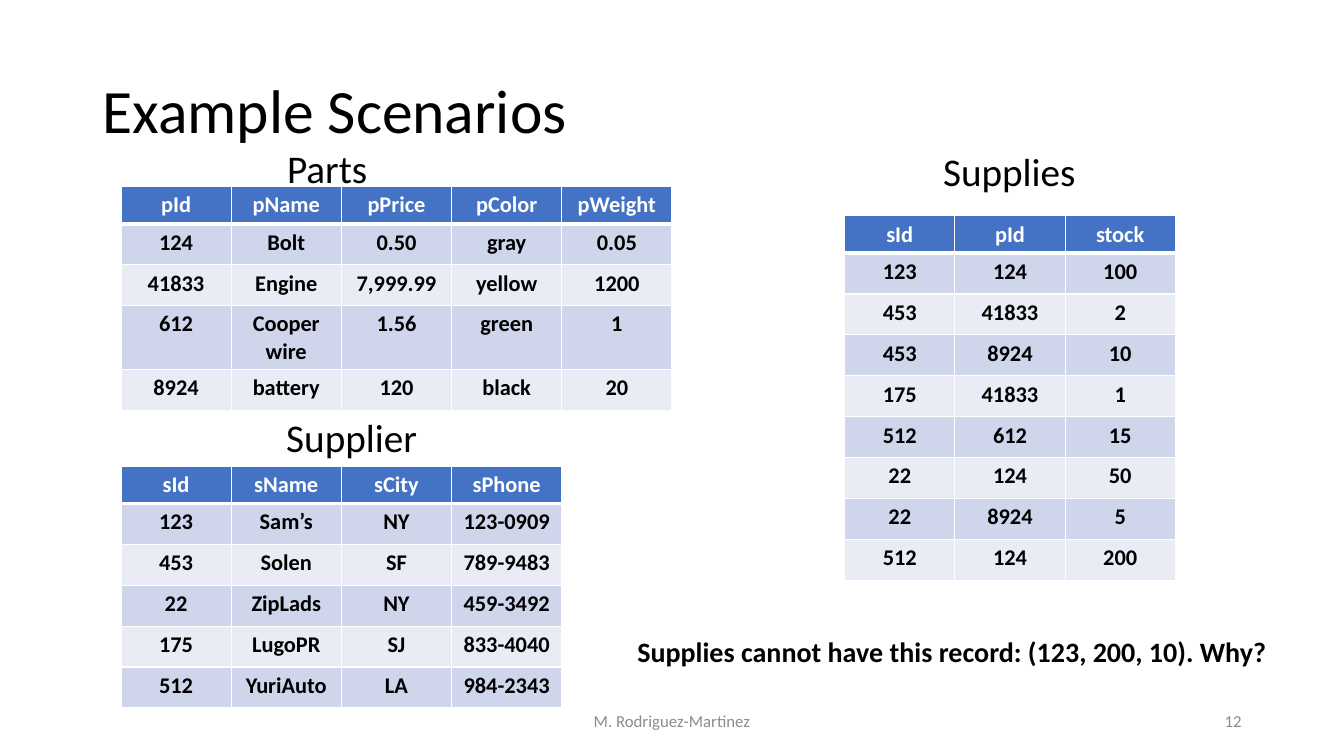
import pptx
import pptx.util
import pptx.dml.color
import pptx.enum.text
import pptx.oxml
import pptx.oxml.ns

UNIT = pptx.util.Inches(1) / 12
COLS, ROWS = 160, 90
COLUMN_WIDTH, HEADER_HEIGHT, ROW_HEIGHT = 13.12, 4.44, 4.87
FONT = "Calibri"
COLORS = {
    "text": "000000",
    "muted": "8C8C8C",
    "white": "FFFFFF",
    "header": "4472C4",
    "odd": "CFD5EA",
    "even": "E9EBF5",
}
ALIGN = pptx.enum.text.PP_ALIGN
ANCHOR = pptx.enum.text.MSO_ANCHOR
AUTO = pptx.enum.text.MSO_AUTO_SIZE

PARTS = [
    ["pId", "pName", "pPrice", "pColor", "pWeight"],
    ["124", "Bolt", "0.50", "gray", "0.05"],
    ["41833", "Engine", "7,999.99", "yellow", "1200"],
    ["612", "Cooper wire", "1.56", "green", "1"],
    ["8924", "battery", "120", "black", "20"],
]
SUPPLIER = [
    ["sId", "sName", "sCity", "sPhone"],
    ["123", "Sam’s", "NY", "123-0909"],
    ["453", "Solen", "SF", "789-9483"],
    ["22", "ZipLads", "NY", "459-3492"],
    ["175", "LugoPR", "SJ", "833-4040"],
    ["512", "YuriAuto", "LA", "984-2343"],
]
SUPPLIES = [
    ["sId", "pId", "stock"],
    ["123", "124", "100"],
    ["453", "41833", "2"],
    ["453", "8924", "10"],
    ["175", "41833", "1"],
    ["512", "612", "15"],
    ["22", "124", "50"],
    ["22", "8924", "5"],
    ["512", "124", "200"],
]


def grid(*cells):
    return [round(n * UNIT) for n in cells]


def rgb(name):
    return pptx.dml.color.RGBColor.from_string(COLORS[name])


def write(tf, text, size, color="text", bold=False, align=ALIGN.LEFT):
    tf.text = text
    p = tf.paragraphs[0]
    p.alignment = align
    font = p.runs[0].font
    font.name, font.size, font.bold = FONT, pptx.util.Pt(size), bold
    font.color.rgb = rgb(color)


def add_title(s, box, text):
    sp = s.shapes.title
    sp.left, sp.top, sp.width, sp.height = grid(*box)
    tf = sp.text_frame
    write(tf, text, 44)
    tf.auto_size = AUTO.NONE
    tf.vertical_anchor = ANCHOR.MIDDLE
    tf.paragraphs[0].line_spacing = 0.9


def add_label(s, box, text, size, bold=False):
    tf = s.shapes.add_textbox(*grid(*box)).text_frame
    write(tf, text, size, bold=bold)
    tf.word_wrap = False
    tf.auto_size = AUTO.SHAPE_TO_FIT_TEXT


def add_footer(s, box, text, align):
    tf = s.shapes.add_textbox(*grid(*box)).text_frame
    write(tf, text, 12, "muted", align=align)
    tf.word_wrap = True
    tf.vertical_anchor = ANCHOR.MIDDLE


def add_borders(cell, row):
    widths = {"L": 1, "R": 1, "T": 3 if row == 1 else 1, "B": 3 if row == 0 else 1}
    tc_pr = cell._tc.get_or_add_tcPr()
    for side, width in widths.items():
        tc_pr.append(pptx.oxml.parse_xml(
            f'<a:ln{side} {pptx.oxml.ns.nsdecls("a")} w="{pptx.util.Pt(width)}">'
            f'<a:solidFill><a:srgbClr val="{COLORS["white"]}"/></a:solidFill></a:ln{side}>'
        ))


def add_relation(s, left, top, records):
    width = COLUMN_WIDTH * len(records[0])
    height = HEADER_HEIGHT + ROW_HEIGHT * (len(records) - 1)
    table = s.shapes.add_table(
        len(records), len(records[0]), *grid(left, top, width, height)).table
    for column in table.columns:
        column.width = grid(COLUMN_WIDTH)[0]
    for i, record in enumerate(records):
        table.rows[i].height = grid(ROW_HEIGHT if i else HEADER_HEIGHT)[0]
        fill = ("odd" if i % 2 else "even") if i else "header"
        for j, value in enumerate(record):
            cell = table.cell(i, j)
            write(cell.text_frame, value, 16, "text" if i else "white", True, ALIGN.CENTER)
            add_borders(cell, i)
            cell.fill.solid()
            cell.fill.fore_color.rgb = rgb(fill)


def build_scenarios(prs):
    s = prs.slides.add_slide(prs.slide_layouts[5])
    add_title(s, (11, 4.8, 138, 17.4), "Example Scenarios")
    add_footer(s, (53, 83.4, 54, 4.8), "M. Rodriguez-Martinez", ALIGN.CENTER)
    add_footer(s, (113, 83.4, 36, 4.8), "12", ALIGN.RIGHT)
    add_relation(s, 14.4, 22.2, PARTS)
    add_relation(s, 14.4, 55.5, SUPPLIER)
    add_relation(s, 100.56, 25.7, SUPPLIES)
    add_label(s, (33, 16.6, 12.1, 6.87), "Parts", 28)
    add_label(s, (32.9, 48.6, 18.3, 6.87), "Supplier", 28)
    add_label(s, (111.1, 16.9, 18.3, 6.87), "Supplies", 28)
    add_label(s, (74.7, 74.9, 78, 5.25),
              "Supplies cannot have this record: (123, 200, 10). Why?", 20, True)


def main():
    prs = pptx.Presentation()
    prs.slide_width, prs.slide_height = grid(COLS, ROWS)
    build_scenarios(prs)
    prs.save("out.pptx")


if __name__ == "__main__":
    main()
